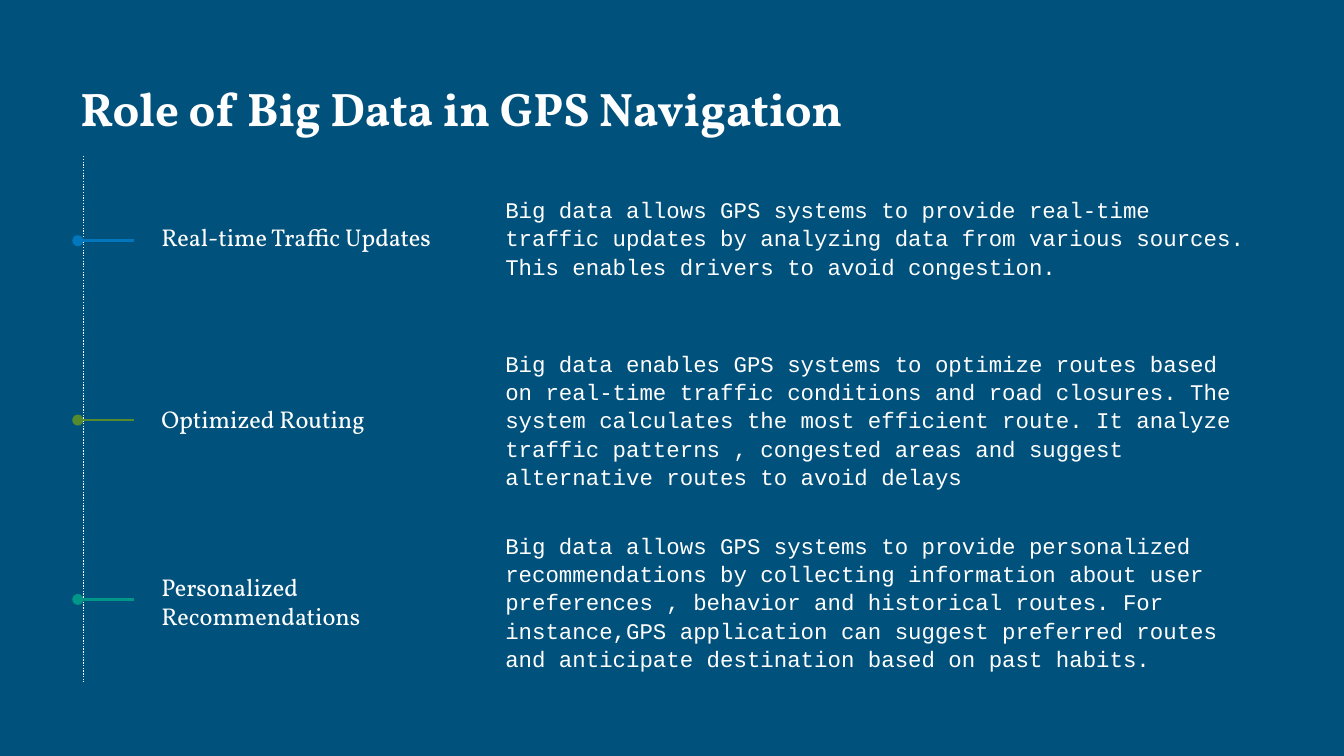
import dataclasses

import lxml.etree
import pptx
import pptx.dml.color
import pptx.enum.dml
import pptx.enum.shapes
import pptx.enum.text
import pptx.oxml.ns
import pptx.util

Cm = pptx.util.Cm
Pt = pptx.util.Pt
qn = pptx.oxml.ns.qn

WHITE = "FFFFFF"
SERIF = "Vollkorn"
MONO = "Courier New"
TOP, STEP, HIGH = 2.95, 3.44, 3.07
TICK, GAP = 4.55, 3.39


@dataclasses.dataclass
class Role:
    name: str
    text: str
    hue: str


ROLES = [
    Role(
        "Real-time Traffic Updates",
        "Big data allows GPS systems to provide real-time traffic updates by "
        "analyzing data from various sources. This enables drivers to avoid "
        "congestion.",
        "0277BD",
    ),
    Role(
        "Optimized Routing",
        "Big data enables GPS systems to optimize routes based on real-time "
        "traffic conditions and road closures. The system calculates the most "
        "efficient route. It analyze traffic patterns , congested areas and "
        "suggest alternative routes to avoid delays",
        "558B2F",
    ),
    Role(
        "Personalized Recommendations",
        "Big data allows GPS systems to provide personalized recommendations "
        "by collecting information about user preferences , behavior and "
        "historical routes. For instance,GPS application can suggest preferred "
        "routes and anticipate destination based on past habits.",
        "009688",
    ),
]


def tint(code: str) -> pptx.dml.color.RGBColor:
    return pptx.dml.color.RGBColor.from_string(code)


def write(shape, text: str, *, font: str, size: float, bold: bool = False,
          left: float = 0.25, right: float = 0.25,
          lead: float = 1.0, after: float = 0) -> None:
    """Fill a shape with one left-aligned, vertically centred paragraph."""
    frame = shape.text_frame
    frame.word_wrap = True
    frame.auto_size = pptx.enum.text.MSO_AUTO_SIZE.NONE
    frame.vertical_anchor = pptx.enum.text.MSO_ANCHOR.MIDDLE
    frame.margin_left, frame.margin_right = Cm(left), Cm(right)
    frame.margin_top = frame.margin_bottom = Cm(0.25)
    para = frame.paragraphs[0]
    para.alignment = pptx.enum.text.PP_ALIGN.LEFT
    para.line_spacing = lead
    para.space_after = Pt(after)
    run = para.add_run()
    run.text = text
    run.font.name = font
    run.font.size = Pt(size)
    run.font.bold = bold
    run.font.color.rgb = tint(WHITE)


def rule(slide, x1: float, y1: float, x2: float, y2: float, *, hue: str,
         width: float, dots: bool = False, knob: bool = False) -> None:
    """Draw a straight line, dotted or with a round start if asked."""
    line = slide.shapes.add_connector(
        pptx.enum.shapes.MSO_CONNECTOR.STRAIGHT, Cm(x1), Cm(y1), Cm(x2), Cm(y2))
    line.line.color.rgb = tint(hue)
    line.line.width = Pt(width)
    if dots:
        line.line.dash_style = pptx.enum.dml.MSO_LINE.ROUND_DOT
    props = line._element.spPr
    if knob:
        lxml.etree.SubElement(props.find(qn("a:ln")), qn("a:headEnd"), type="oval")
    lxml.etree.SubElement(props, qn("a:effectLst"))


def add_role(slide, role: Role, row: int) -> None:
    top = Cm(TOP + row * STEP)
    name = slide.shapes.add_textbox(Cm(2.54), top, Cm(6.02), Cm(HIGH))
    write(name, role.name, font=SERIF, size=13, left=0.51, after=10)
    body = slide.shapes.add_textbox(Cm(8.53), top, Cm(15.6), Cm(HIGH))
    write(body, role.text, font=MONO, size=12, left=1.02, right=0.51,
          lead=1.05, after=10)
    mid = TICK + row * GAP
    rule(slide, 1.47, mid, 2.54, mid, hue=role.hue, width=1.5, knob=True)


def main() -> None:
    deck = pptx.Presentation()
    deck.slide_width, deck.slide_height = Cm(25.4), Cm(14.29)
    slide = deck.slides.add_slide(deck.slide_layouts.get_by_name("Title Only"))
    slide.background.fill.solid()
    slide.background.fill.fore_color.rgb = tint("00517C")

    title = slide.shapes.title
    title.left, title.top = Cm(1.27), Cm(1.24)
    title.width, title.height = Cm(22.86), Cm(1.6)
    write(title, "Role of Big Data in GPS Navigation",
          font=SERIF, size=25.2, bold=True)

    rule(slide, 1.58, TOP, 1.58, 12.9, hue=WHITE, width=0.75, dots=True)
    for row, role in enumerate(ROLES):
        add_role(slide, role, row)
    deck.save("out.pptx")


if __name__ == "__main__":
    main()
